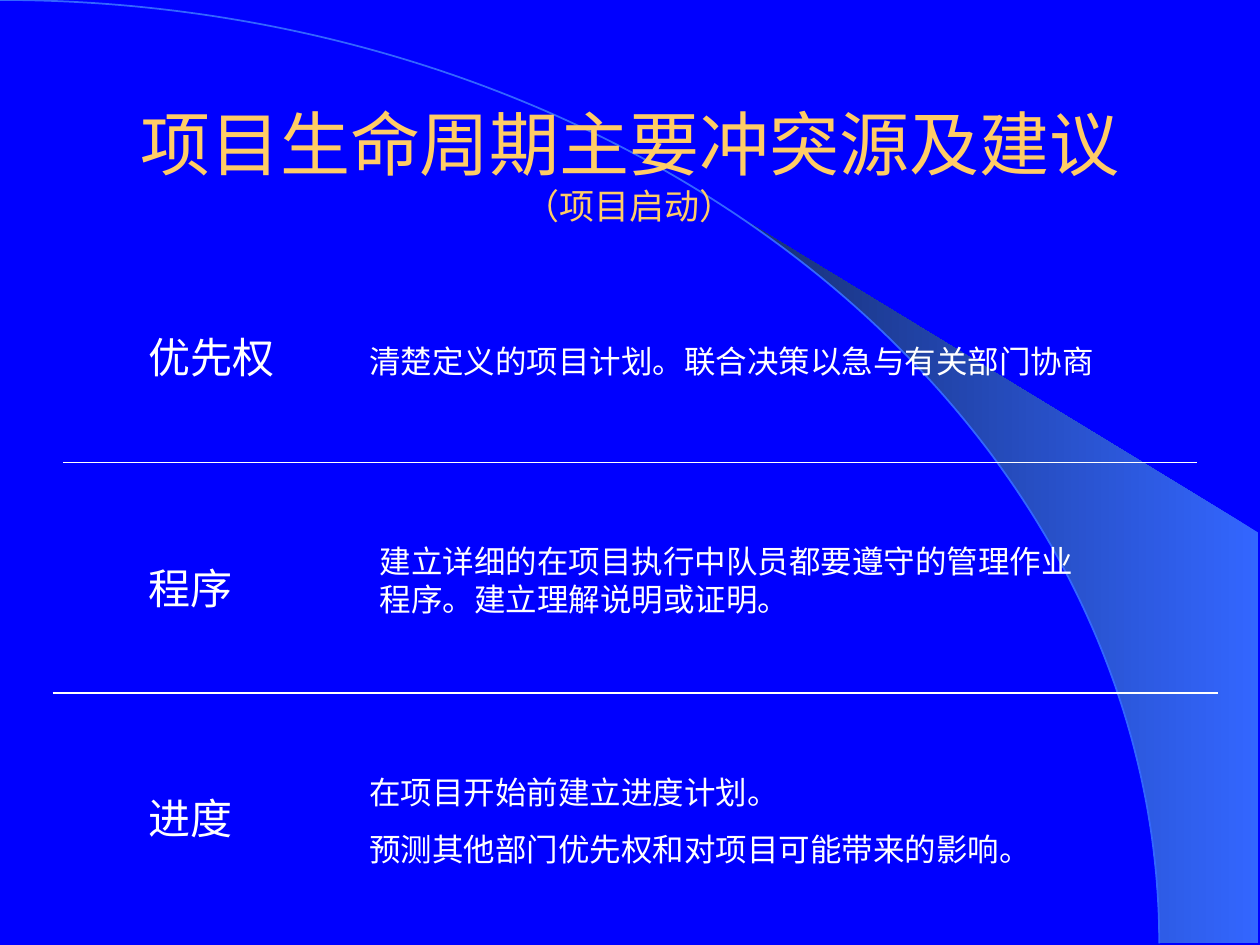
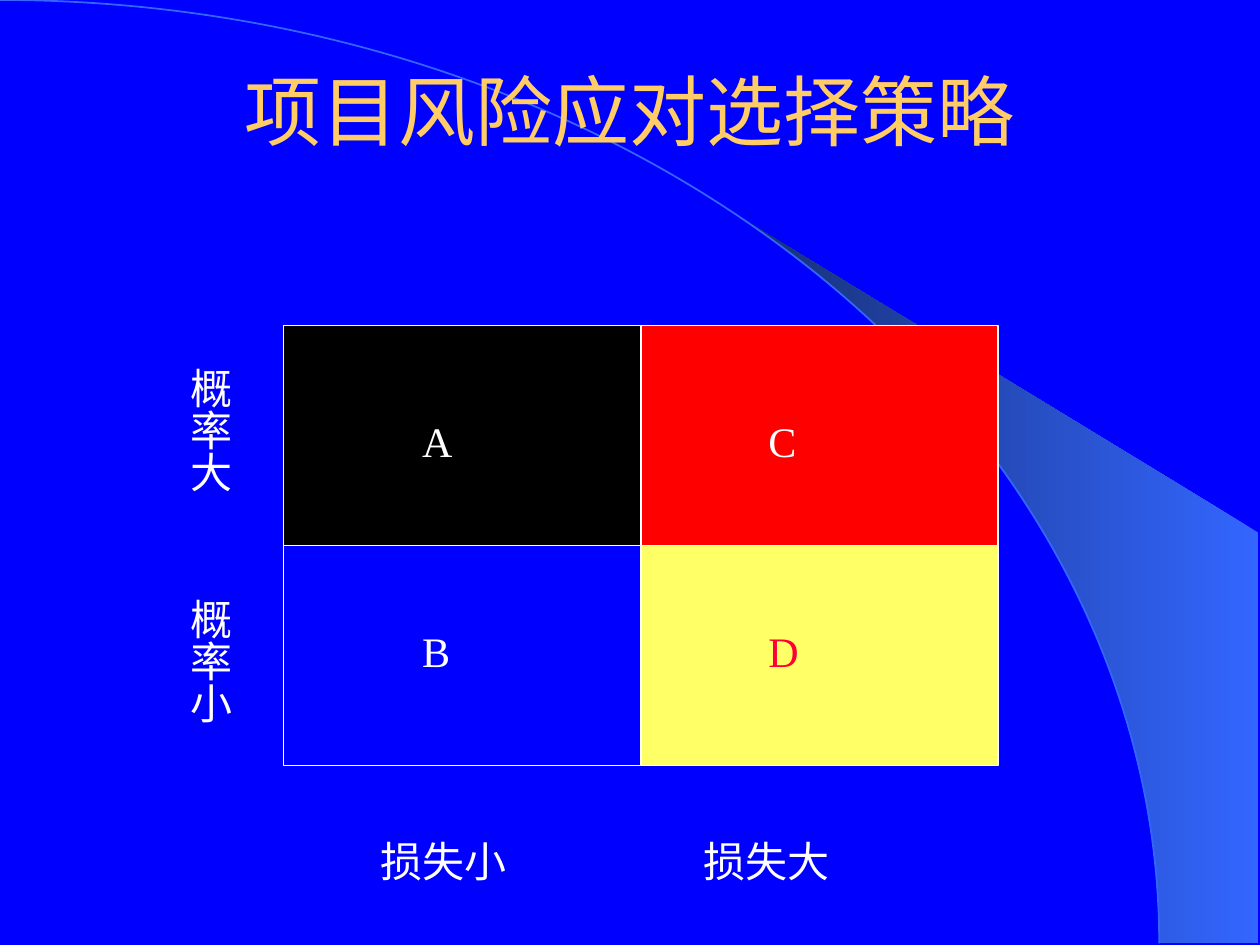
from dataclasses import dataclass
from math import asin, cos, pi, sin

from lxml.etree import SubElement
from pptx import Presentation
from pptx.dml.color import RGBColor
from pptx.enum.shapes import MSO_CONNECTOR, MSO_SHAPE
from pptx.enum.text import MSO_ANCHOR, PP_ALIGN
from pptx.oxml.ns import qn
from pptx.presentation import Presentation as Deck
from pptx.slide import Slide
from pptx.text.text import Font
from pptx.util import Cm, Pt


@dataclass(frozen=True)
class Theme:
    blue: str = "0000FF"
    sky: str = "3366FF"
    navy: str = "172F75"
    gold: str = "FFCC66"
    white: str = "FFFFFF"
    black: str = "000000"
    red: str = "FF0000"
    yellow: str = "FFFF66"
    crimson: str = "FF0033"
    title_font: str = "Arial"
    body_font: str = "Times New Roman"
    title_size: float = 44
    long_title_size: float = 40
    subtitle_size: float = 20
    label_size: float = 24
    detail_size: float = 18
    detail_gap: float = 11.2
    line_width: float = 0.75


THEME = Theme()


@dataclass(frozen=True)
class Label:
    """A text box; all lengths are in centimetres."""
    text: str
    left: float
    top: float
    width: float
    height: float = 1.27
    size: float = THEME.label_size
    color: str = THEME.white
    vertical: bool = False


@dataclass(frozen=True)
class Rule:
    left: float
    right: float
    y: float


@dataclass(frozen=True)
class Quadrant:
    letter: str
    col: int
    row: int
    fill: str
    color: str = THEME.white


ROW_TOP, ROW_STEP = 6.56, 4.65
CONFLICT_SOURCES = [
    Label(name, 2.74, ROW_TOP + i * ROW_STEP, 4.01)
    for i, name in enumerate(["优先权", "程序", "进度"])
]
ADVICE = [
    Label("清楚定义的项目计划。联合决策以急与有关部门协商",
          7.19, 6.77, 15.88, 1.02, THEME.detail_size),
    Label("建立详细的在项目执行中队员都要遵守的管理作业程序。建立理解说明或证明。",
          7.41, 10.8, 14.6, 1.78, THEME.detail_size),
    Label("在项目开始前建立进度计划。\n预测其他部门优先权和对项目可能带来的影响。",
          7.19, 15.45, 15.88, 2.18, THEME.detail_size),
]
RULES = [Rule(1.27, 24.13, 9.32), Rule(1.06, 24.55, 13.97)]

GRID_LEFT, GRID_TOP, CELL_WIDTH, CELL_HEIGHT = 5.72, 6.56, 7.2, 4.44
LETTER_LEFTS, LETTER_TOPS = (8.26, 15.24), (8.26, 12.49)
QUADRANTS = [
    Quadrant("A", 0, 0, THEME.black),
    Quadrant("C", 1, 0, THEME.red),
    Quadrant("D", 1, 1, THEME.yellow, THEME.crimson),
    Quadrant("B", 0, 1, THEME.blue),
]
AXIS_LABELS = [
    Label("概率大", 3.36, 7.16, 1.52, 3.3, vertical=True),
    Label("概率小", 3.36, 11.81, 1.52, 3.3, vertical=True),
    Label("损失小", 7.42, 16.72, 3.6),
    Label("损失大", 13.94, 16.72, 3.6),
]


def rgb(color: str) -> RGBColor:
    return RGBColor.from_string(color)


def style_font(font: Font, name: str, size: float, color: str) -> None:
    font.name = name
    font.size = Pt(size)
    font.color.rgb = rgb(color)


def add_backdrop(prs: Deck, s: Slide) -> None:
    """Draw the arc and its swoosh on s, then move them to the master."""
    master = prs.slide_master
    master.background.fill.solid()
    master.background.fill.fore_color.rgb = rgb(THEME.blue)

    rx, ry, right, tip_x = 23.37, 19.02, 25.37, 14.96
    tip = asin(tip_x / rx)
    steps = 24
    angles = [tip + (pi / 2 - tip) * i / steps for i in range(steps + 1)]
    curve = [(Cm(rx * sin(a)), Cm(ry * (1 - cos(a)))) for a in angles]
    builder = s.shapes.build_freeform(*curve[0])
    builder.add_line_segments(curve[1:] + [(Cm(right), Cm(ry)), (Cm(right), Cm(10.74))])
    swoosh = builder.convert_to_shape()
    swoosh.fill.gradient()
    swoosh.fill.gradient_angle = 180
    for stop, color in zip(swoosh.fill.gradient_stops, (THEME.sky, THEME.navy)):
        stop.color.rgb = rgb(color)
    swoosh.line.fill.background()

    arc = s.shapes.add_shape(MSO_SHAPE.ARC, Cm(-rx), Cm(0), Cm(2 * rx), Cm(2 * ry))
    arc.fill.background()
    arc.line.color.rgb = rgb(THEME.sky)
    arc.line.width = Pt(1)

    for i, sp in enumerate((swoosh, arc)):
        sp.shadow.inherit = False
        master.shapes.element.insert(2 + i, sp.element)


def set_title(s: Slide, text: str, top: float, size: float, subtitle: str = "") -> None:
    sp = s.shapes.title
    sp.left, sp.top, sp.width, sp.height = Cm(1.9), Cm(top), Cm(21.59), Cm(3.18)
    tf = sp.text_frame
    tf.vertical_anchor = MSO_ANCHOR.MIDDLE
    tf.text = text
    p = tf.paragraphs[0]
    p.alignment = PP_ALIGN.CENTER
    style_font(p.runs[0].font, THEME.title_font, size, THEME.gold)
    if subtitle:
        p.add_line_break()
        # The break takes the size of the line it ends
        SubElement(p._p[-1], qn("a:rPr")).set("sz", str(int(size * 100)))
        r = p.add_run()
        r.text = subtitle
        style_font(r.font, THEME.title_font, THEME.subtitle_size, THEME.gold)


def add_label(s: Slide, label: Label) -> None:
    tf = s.shapes.add_textbox(Cm(label.left), Cm(label.top),
                              Cm(label.width), Cm(label.height)).text_frame
    tf.word_wrap = True
    if label.vertical:
        tf._txBody.bodyPr.set("vert", "eaVert")
        tf.margin_left = tf.margin_right = Cm(0.13)
        tf.margin_top = tf.margin_bottom = Cm(0.25)
    tf.text = label.text
    for i, p in enumerate(tf.paragraphs):
        if i:
            p.space_before = Pt(THEME.detail_gap)
        for r in p.runs:
            style_font(r.font, THEME.body_font, label.size, label.color)


def add_rule(s: Slide, rule: Rule) -> None:
    line = s.shapes.add_connector(MSO_CONNECTOR.STRAIGHT, Cm(rule.left), Cm(rule.y),
                                  Cm(rule.right), Cm(rule.y))
    line.line.color.rgb = rgb(THEME.white)
    line.line.width = Pt(THEME.line_width)
    SubElement(line.element.spPr, qn("a:effectLst"))


def add_quadrant(s: Slide, q: Quadrant) -> None:
    sp = s.shapes.add_shape(
        MSO_SHAPE.RECTANGLE,
        Cm(GRID_LEFT + q.col * CELL_WIDTH), Cm(GRID_TOP + q.row * CELL_HEIGHT),
        Cm(CELL_WIDTH), Cm(CELL_HEIGHT))
    sp.shadow.inherit = False
    sp.fill.solid()
    sp.fill.fore_color.rgb = rgb(q.fill)
    sp.line.color.rgb = rgb(THEME.white)
    sp.line.width = Pt(THEME.line_width)
    add_label(s, Label(q.letter, LETTER_LEFTS[q.col], LETTER_TOPS[q.row], 2.54,
                       color=q.color))


def build_conflict_slide(s: Slide) -> None:
    set_title(s, "项目生命周期主要冲突源及建议", 1.7, THEME.long_title_size, "（项目启动）")
    for label in CONFLICT_SOURCES + ADVICE:
        add_label(s, label)
    for rule in RULES:
        add_rule(s, rule)


def build_risk_slide(s: Slide) -> None:
    set_title(s, "项目风险应对选择策略", 0.63, THEME.title_size)
    for quadrant in QUADRANTS:
        add_quadrant(s, quadrant)
    for label in AXIS_LABELS:
        add_label(s, label)


def main() -> None:
    prs = Presentation()
    prs.slide_width, prs.slide_height = Cm(25.4), Cm(19.05)
    title_only = prs.slide_layouts.get_by_name("Title Only")
    conflict, risk = (prs.slides.add_slide(title_only) for _ in range(2))
    add_backdrop(prs, conflict)
    build_conflict_slide(conflict)
    build_risk_slide(risk)
    prs.save("out.pptx")


if __name__ == "__main__":
    main()
